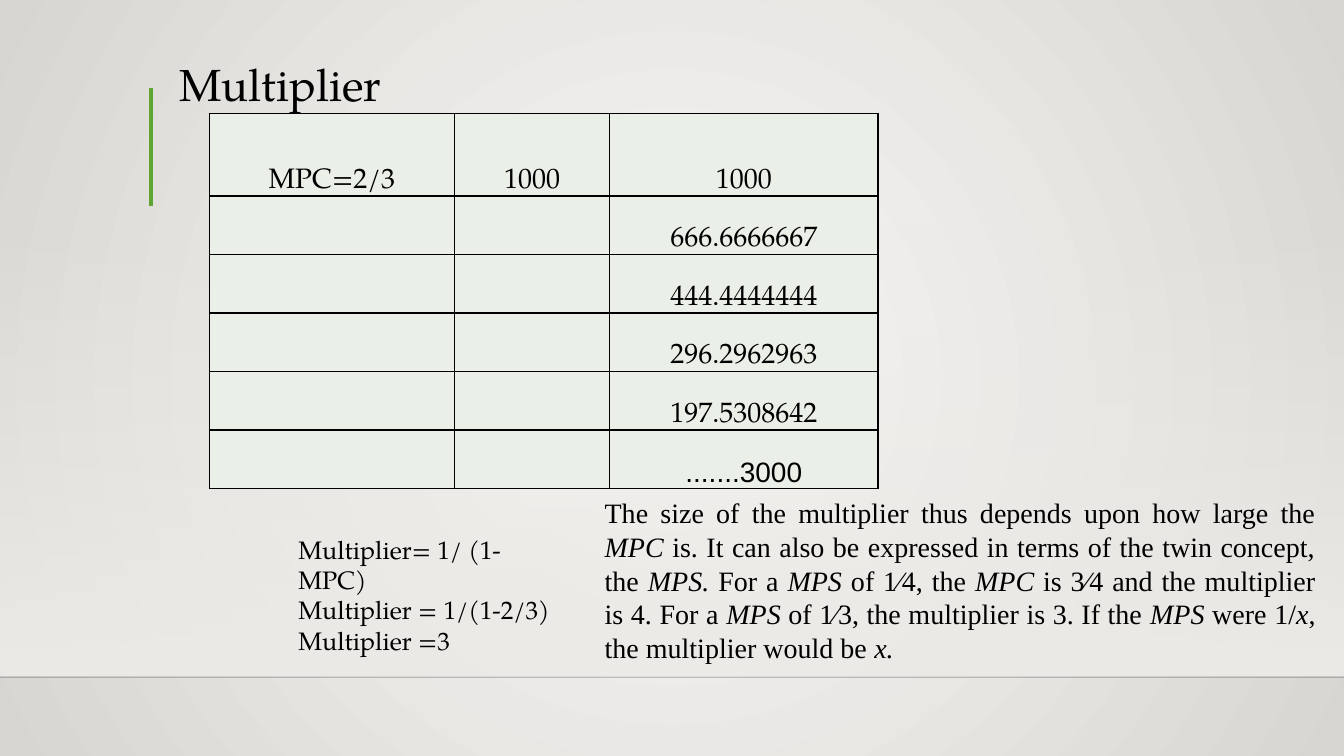
import lxml.etree
import pptx
import pptx.dml.color
import pptx.enum.shapes
import pptx.enum.text
import pptx.oxml.ns
import pptx.util

Pt = pptx.util.Pt
RGBColor = pptx.dml.color.RGBColor
SubElement = lxml.etree.SubElement
qn = pptx.oxml.ns.qn
ALIGN = pptx.enum.text.PP_ALIGN
ANCHOR = pptx.enum.text.MSO_ANCHOR
AUTO_SIZE = pptx.enum.text.MSO_AUTO_SIZE

BLACK = RGBColor(0x00, 0x00, 0x00)
GREEN = RGBColor(0x5F, 0xA5, 0x34)
CELL_GREEN = RGBColor(0xEA, 0xF0, 0xE8)
CENTRE_GREY = RGBColor(0xFA, 0xFA, 0xF9)
EDGE_GREY = RGBColor(0xD7, 0xD5, 0xD2)
WALL_GREY = RGBColor(0xED, 0xEB, 0xE7)
SERIF = "TeX Gyre Pagella"


def write_text(frame, text, font=SERIF, size=20, align=ALIGN.LEFT, spacing=1.0):
    for index, line in enumerate(text.split("\n")):
        paragraph = frame.paragraphs[0] if index == 0 else frame.add_paragraph()
        paragraph.alignment = align
        paragraph.line_spacing = spacing
        for part, words in enumerate(line.split("*")):
            if words:
                run = paragraph.add_run()
                run.text = words
                run.font.name = font
                run.font.size = Pt(size)
                run.font.italic = part % 2 == 1
                run.font.color.rgb = BLACK


def add_rule(shapes, start, end, color, width):
    rule = shapes.add_connector(
        pptx.enum.shapes.MSO_CONNECTOR.STRAIGHT, *map(Pt, start + end))
    rule.line.color.rgb = color
    rule.line.width = Pt(width)
    SubElement(rule.element.spPr, qn("a:effectLst"))
    return rule


deck = pptx.Presentation()
deck.slide_width = Pt(960)
deck.slide_height = Pt(540)
slide = deck.slides.add_slide(deck.slide_layouts[5])
shapes = slide.shapes

backdrop = slide.background.fill
backdrop.gradient()
for stop, color in zip(backdrop.gradient_stops, (CENTRE_GREY, EDGE_GREY)):
    stop.color.rgb = color
radial = slide.element.find(".//" + qn("a:gradFill"))
radial.remove(radial.find(qn("a:lin")))
circle = SubElement(radial, qn("a:path"), path="circle")
SubElement(circle, qn("a:fillToRect"), l="50000", t="50000", r="50000", b="50000")

wall = shapes.add_shape(
    pptx.enum.shapes.MSO_SHAPE.RECTANGLE, Pt(0), Pt(158.4), Pt(960), Pt(324))
wall.shadow.inherit = False
wall.line.fill.background()
wall.fill.gradient()
wall.fill.gradient_angle = 270
for stop in wall.fill.gradient_stops:
    stop.color.rgb = WALL_GREY
SubElement(wall.element.find(".//" + qn("a:srgbClr")), qn("a:alpha"), val="0")

floor_line = add_rule(shapes, (0, 483.8), (960, 483.8), BLACK, 1)
SubElement(floor_line.element.find(".//" + qn("a:srgbClr")), qn("a:alpha"), val="20000")
add_rule(shapes, (108, 62.6), (108, 146.9), GREEN, 3)

title = shapes.title
title.left, title.top, title.width, title.height = map(Pt, (121, 0, 749.5, 82.8))
title.text_frame.auto_size = AUTO_SIZE.NONE
title.text_frame.vertical_anchor = ANCHOR.BOTTOM
write_text(title.text_frame, "Multiplier", size=32, spacing=0.9)

spending_rounds = [
    ("MPC=2/3", "1000", "1000"),
    ("", "", "666.6666667"),
    ("", "", "444.4444444"),
    ("", "", "296.2962963"),
    ("", "", "197.5308642"),
    ("", "", ".......3000"),
]
rounds_table = shapes.add_table(
    len(spending_rounds), 3, Pt(149.6), Pt(81), Pt(477.6), Pt(268)).table
rounds_table.first_row = False
rounds_table.horz_banding = False
for column, width in zip(rounds_table.columns, (175, 111, 191.6)):
    column.width = Pt(width)
for row_index, values in enumerate(spending_rounds):
    rounds_table.rows[row_index].height = Pt(59 if row_index == 0 else 41.8)
    for column_index, value in enumerate(values):
        cell = rounds_table.cell(row_index, column_index)
        cell.vertical_anchor = ANCHOR.BOTTOM
        cell.margin_left = cell.margin_right = cell.margin_top = Pt(0.7)
        cell.margin_bottom = Pt(0)
        properties = cell._tc.get_or_add_tcPr()
        for side in ("a:lnL", "a:lnR", "a:lnT", "a:lnB"):
            border = SubElement(properties, qn(side), w=str(Pt(1)))
            border_fill = SubElement(border, qn("a:solidFill"))
            SubElement(border_fill, qn("a:srgbClr"), val=str(BLACK))
        cell.fill.solid()
        cell.fill.fore_color.rgb = CELL_GREEN
        write_text(cell.text_frame, value, align=ALIGN.CENTER,
                   font="Arial" if value.startswith(".") else SERIF)

formula = "Multiplier= 1/ (1-MPC)\nMultiplier = 1/(1-2/3)\nMultiplier =3"
explanation = (
    "The size of the multiplier thus depends upon how large the *MPC *is. "
    "It can also be expressed in terms of the twin concept, the *MPS. *"
    "For a *MPS *of 1⁄4, the *MPC *is 3⁄4 and the multiplier is 4. "
    "For a *MPS *of 1⁄3, the multiplier is 3. "
    "If the *MPS *were 1/*x*, the multiplier would be *x. *"
)
notes = [
    (formula, (206, 378, 198, 72.7), SERIF, 18, ALIGN.LEFT),
    (explanation, (424.8, 350.6, 522, 128.2), "Times New Roman", 20, ALIGN.JUSTIFY),
]
for text, place, font, size, align in notes:
    frame = shapes.add_textbox(*map(Pt, place)).text_frame
    frame.word_wrap = True
    frame.auto_size = AUTO_SIZE.SHAPE_TO_FIT_TEXT
    write_text(frame, text, font=font, size=size, align=align)

deck.save("out.pptx")
